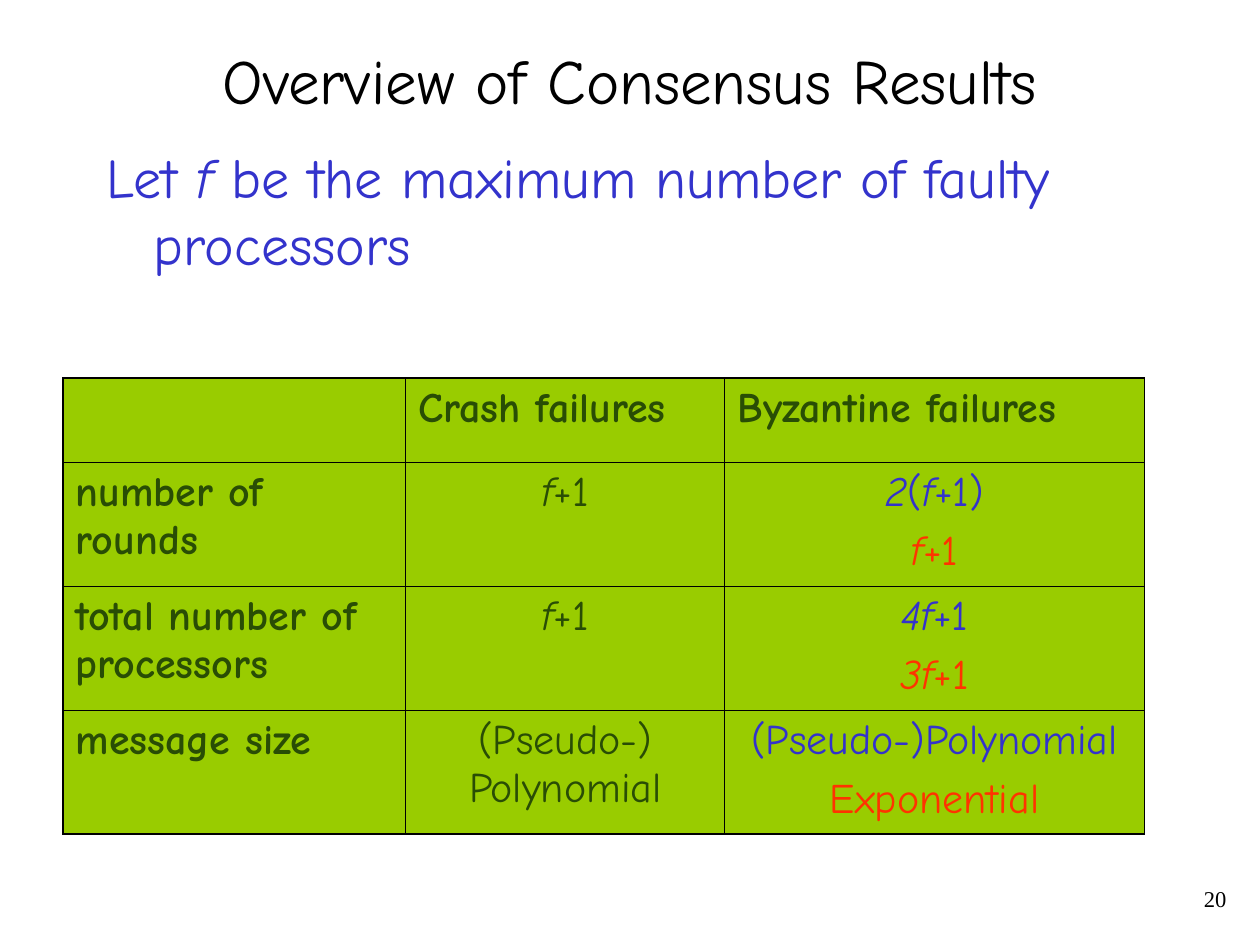
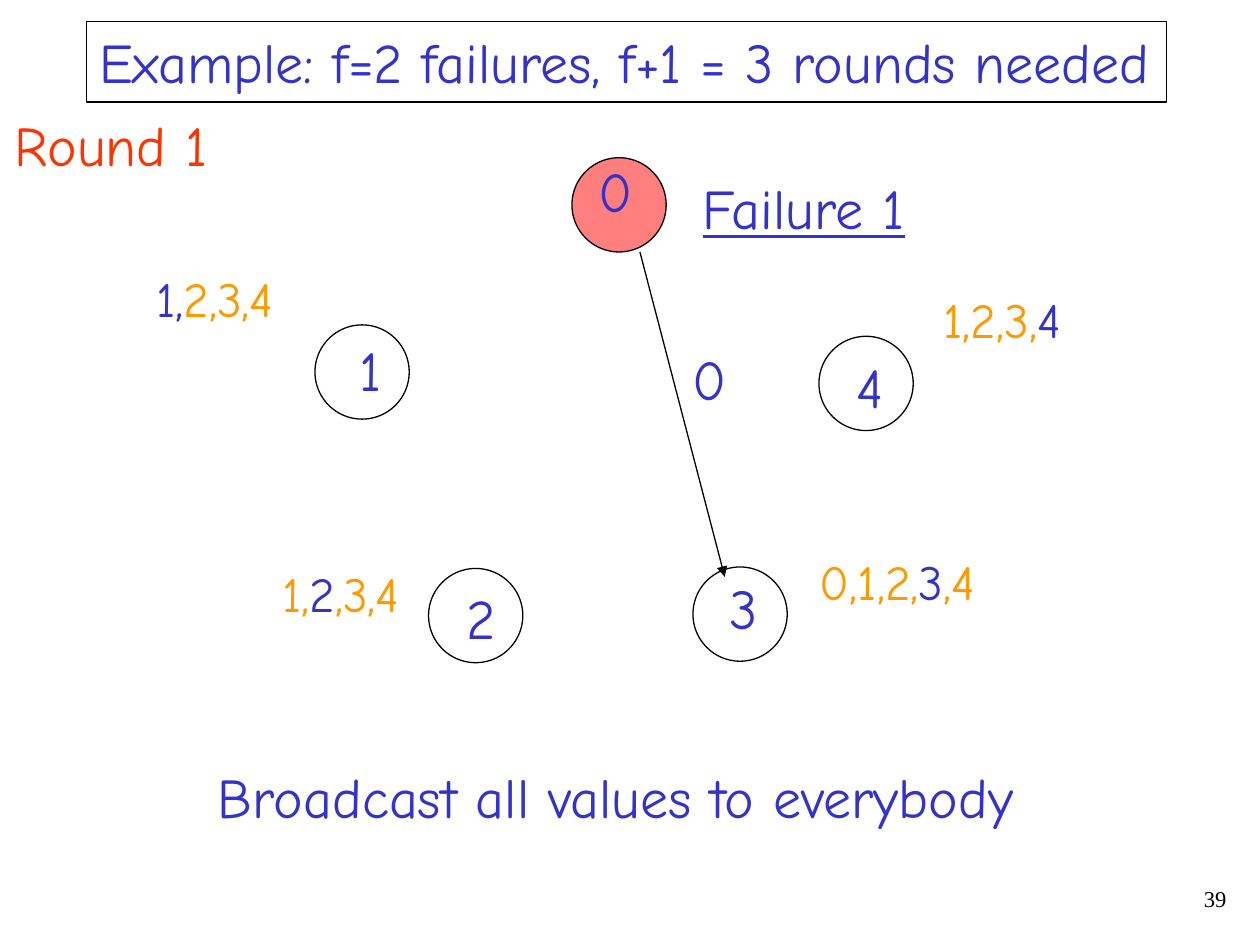
from dataclasses import dataclass, replace

from lxml.etree import SubElement
from pptx import Presentation
from pptx.dml.color import RGBColor
from pptx.enum.shapes import MSO_CONNECTOR, MSO_SHAPE
from pptx.enum.text import MSO_ANCHOR, MSO_AUTO_SIZE, PP_ALIGN
from pptx.oxml.ns import qn
from pptx.util import Cm, Pt


@dataclass(frozen=True)
class Theme:
    ink: str = "000000"
    blue: str = "3333CC"
    red: str = "FF3300"
    orange: str = "FF9900"
    dark_green: str = "294D05"
    table_green: str = "99CC00"
    faulty: str = "FF0000"
    font: str = "Comic Neue"
    number_font: str = "Times New Roman"
    title_size: float = 36
    text_size: float = 32
    values_size: float = 28
    table_size: float = 24
    number_size: float = 12.9
    thin: float = 0.45
    line: float = 0.75
    thick: float = 1.08


THEME = Theme()


@dataclass(frozen=True)
class Style:
    size: float = THEME.text_size
    color: str = THEME.blue
    font: str = THEME.font
    before: float = 8
    align: PP_ALIGN = PP_ALIGN.LEFT
    bold: bool = False
    underline: bool = False
    spacing: float = 1.0


HEADING = Style()
TITLE = Style(THEME.title_size, THEME.ink, before=0, align=PP_ALIGN.CENTER)
NUMBER = Style(THEME.number_size, THEME.ink, THEME.number_font, 0,
               PP_ALIGN.RIGHT, spacing=0.9)
VALUES = Style(THEME.values_size, THEME.orange, before=7)
ROW_LABEL = Style(THEME.table_size, THEME.dark_green, before=6, bold=True)
RESULT = replace(ROW_LABEL, align=PP_ALIGN.CENTER, bold=False)


@dataclass(frozen=True)
class Box:
    """A region in centimetres."""
    left: float
    top: float
    width: float
    height: float

    def inner(self, dx, dy, width, height):
        return Box(self.left + dx, self.top + dy, width, height)

    def lengths(self):
        return [Cm(v) for v in (self.left, self.top, self.width, self.height)]


SLIDE = Box(0, 0, 25.4, 19.05)
LABEL_HEIGHT = 1.63
NODE_SIZE = 1.9


def rgb(color):
    return RGBColor.from_string(color)


def write(paragraph, style, runs):
    """Fill a paragraph with (text, colour, italic) runs."""
    paragraph.alignment = style.align
    paragraph.space_before = Pt(style.before)
    paragraph.line_spacing = style.spacing
    for text, color, italic in runs:
        run = paragraph.add_run()
        run.text = text
        font = run.font
        font.name, font.size = style.font, Pt(style.size)
        font.bold, font.italic = style.bold, italic
        font.underline = style.underline
        font.color.rgb = rgb(color)


def math_runs(text, color):
    """Set the parts between asterisks in italics."""
    return [(part, color, index % 2 == 1)
            for index, part in enumerate(text.split("*")) if part]


def add_text(slide, box, text, style):
    frame = slide.shapes.add_textbox(*box.lengths()).text_frame
    frame.word_wrap = True
    write(frame.paragraphs[0], style, math_runs(text, style.color))
    return frame


def fit_to_text(frame):
    frame.word_wrap = False
    frame.auto_size = MSO_AUTO_SIZE.SHAPE_TO_FIT_TEXT


def add_label(slide, box, text, style=HEADING):
    fit_to_text(add_text(slide, box, text, style))


def add_page_number(slide, number):
    add_text(slide, SLIDE.inner(19.69, 17.78, 5.28, 0.84), str(number), NUMBER)


# Overview slide
RESULTS = [
    ["", "Crash failures", "Byzantine failures"],
    ["number of rounds", "*f*+1", ("*2*(*f*+1)", "*f*+1")],
    ["total number of processors", "*f*+1", ("*4f*+1", "*3f*+1")],
    ["message size", "(Pseudo-) Polynomial",
     ("(Pseudo-)Polynomial", "Exponential")],
]


def set_borders(cell, widths):
    properties = cell._tc.get_or_add_tcPr()
    for side, width in widths.items():
        line = SubElement(properties, qn(f"a:ln{side}"), w=str(Pt(width)))
        fill = SubElement(line, qn("a:solidFill"))
        SubElement(fill, qn("a:srgbClr"), val=THEME.ink)


def fill_result_cell(cell, content, style):
    if isinstance(content, tuple):
        lines = zip(content, (THEME.blue, THEME.red))
    else:
        lines = [(content, style.color)]
    frame = cell.text_frame
    for index, (text, color) in enumerate(lines):
        paragraph = frame.add_paragraph() if index else frame.paragraphs[0]
        write(paragraph, style, math_runs(text, color))


def add_results_table(slide, box):
    row_count, column_count = len(RESULTS), len(RESULTS[0])
    table = slide.shapes.add_table(row_count, column_count,
                                   *box.lengths()).table
    table.first_row = table.horz_banding = False
    header_height = 1.7
    for column, share in zip(table.columns, (0.317, 0.295, 0.388)):
        column.width = Cm(box.width * share)
    for index, row in enumerate(table.rows):
        body_height = (box.height - header_height) / (row_count - 1)
        row.height = Cm(body_height if index else header_height)

    for r, contents in enumerate(RESULTS):
        for c, content in enumerate(contents):
            cell = table.cell(r, c)
            outer = {"L": c == 0, "R": c == column_count - 1,
                     "T": r == 0, "B": r == row_count - 1}
            set_borders(cell, {side: THEME.thick if edge else THEME.thin
                               for side, edge in outer.items()})
            cell.fill.solid()
            cell.fill.fore_color.rgb = rgb(THEME.table_green)
            if content:
                fill_result_cell(cell, content, RESULT if r and c else ROW_LABEL)


def build_overview(slide, box):
    add_page_number(slide, 20)

    # Title and definition
    title = add_text(slide, box.inner(1.9, 0, 21.6, 3.18),
                     "Overview of Consensus Results", TITLE)
    title.vertical_anchor = MSO_ANCHOR.MIDDLE
    definition = add_text(
        slide, box.inner(1.9, 2.74, 21.6, 3.6),
        "Let *f* be the maximum number of faulty processors", HEADING)
    hanging = definition.paragraphs[0]._p.get_or_add_pPr()
    hanging.set("marL", str(Cm(0.95)))
    hanging.set("indent", str(-Cm(0.95)))

    add_results_table(slide, box.inner(1.27, 7.62, 21.8, 9.2))


# Example slide
@dataclass(frozen=True)
class Processor:
    name: str
    place: tuple
    name_offset: tuple
    name_width: float
    values: str = ""
    own: str = ""
    values_offset: tuple = (0, 0)
    values_width: float = 2.87


PROCESSORS = [
    Processor("0", (8.63, 0.16), (0.28, -0.15), 1.19),
    Processor("1", (3.45, 3.53), (0.64, 0.08), 0.94,
              "1,2,3,4", "1,", (-3.45, -1.27)),
    Processor("2", (5.74, 8.44), (0.51, 0.18), 1.09,
              "1,2,3,4", "2", (-3.2, -0.23)),
    Processor("3", (11.07, 8.41), (0.48, 0), 1.07,
              "0,1,2,3,4", "3", (2.31, -0.43), 3.63),
    Processor("4", (13.61, 3.76), (0.51, 0.2), 1.04,
              "1,2,3,4", "4", (2.26, -1.06)),
]
FAULTY = "0"


def outline(shape):
    shape.shadow.inherit = False
    shape.fill.background()
    shape.line.color.rgb = rgb(THEME.ink)
    shape.line.width = Pt(THEME.line)


def add_processor(slide, box, processor):
    node = slide.shapes.add_shape(MSO_SHAPE.OVAL, *box.lengths())
    outline(node)
    if processor.name == FAULTY:
        node.fill.solid()
        node.fill.fore_color.rgb = rgb(THEME.faulty)
        color = node._element.spPr.find(f"{qn('a:solidFill')}/{qn('a:srgbClr')}")
        SubElement(color, qn("a:alpha"), val="50000")
    add_label(slide, box.inner(*processor.name_offset, processor.name_width,
                               LABEL_HEIGHT), processor.name)

    # Known values, with the processor's own one in blue
    if processor.values:
        before, own, after = processor.values.partition(processor.own)
        area = box.inner(*processor.values_offset, processor.values_width, 1.45)
        frame = slide.shapes.add_textbox(*area.lengths()).text_frame
        parts = [(before, VALUES.color), (own, THEME.blue), (after, VALUES.color)]
        write(frame.paragraphs[0], VALUES,
              [(text, color, False) for text, color in parts if text])
        fit_to_text(frame)


def add_message_arrow(slide, box):
    arrow = slide.shapes.add_connector(
        MSO_CONNECTOR.STRAIGHT, Cm(box.left), Cm(box.top),
        Cm(box.left + box.width), Cm(box.top + box.height))
    arrow.line.color.rgb = rgb(THEME.ink)
    arrow.line.width = Pt(THEME.line)
    SubElement(arrow.line._get_or_add_ln(), qn("a:tailEnd"), type="triangle")
    SubElement(arrow._element.spPr, qn("a:effectLst"))


def add_round_diagram(slide, box):
    for processor in PROCESSORS:
        area = box.inner(*processor.place, NODE_SIZE, NODE_SIZE)
        add_processor(slide, area, processor)
    add_message_arrow(slide, box.inner(10, 2.06, 1.71, 6.55))
    add_label(slide, box.inner(10.82, 3.81, 1.19, LABEL_HEIGHT), "0")
    add_label(slide, box.inner(11.02, 0.36, 4.65, LABEL_HEIGHT), "Failure 1",
              replace(HEADING, underline=True))


def add_banner(slide, box, text):
    banner = slide.shapes.add_shape(MSO_SHAPE.RECTANGLE, *box.lengths())
    outline(banner)
    frame = banner.text_frame
    frame.vertical_anchor = MSO_ANCHOR.TOP
    write(frame.paragraphs[0], HEADING, math_runs(text, HEADING.color))
    fit_to_text(frame)


def build_example(slide, box):
    add_page_number(slide, 39)
    add_round_diagram(slide, box.inner(2.9, 3.02, 18.74, 10.4))

    # Captions
    add_label(slide, box.inner(0.05, 2.11, 4.39, LABEL_HEIGHT), "Round 1",
              replace(HEADING, color=THEME.red))
    add_label(slide, box.inner(4.14, 15.24, 16.64, LABEL_HEIGHT),
              "Broadcast all values to everybody")
    add_banner(slide, box.inner(1.75, 0.43, 21.77, LABEL_HEIGHT),
               "Example: f=2 failures, f+1 = 3 rounds needed")


def main():
    deck = Presentation()
    deck.slide_width, deck.slide_height = Cm(SLIDE.width), Cm(SLIDE.height)
    blank = deck.slide_layouts[6]
    for build in (build_overview, build_example):
        build(deck.slides.add_slide(blank), SLIDE)
    deck.save("out.pptx")


if __name__ == "__main__":
    main()
